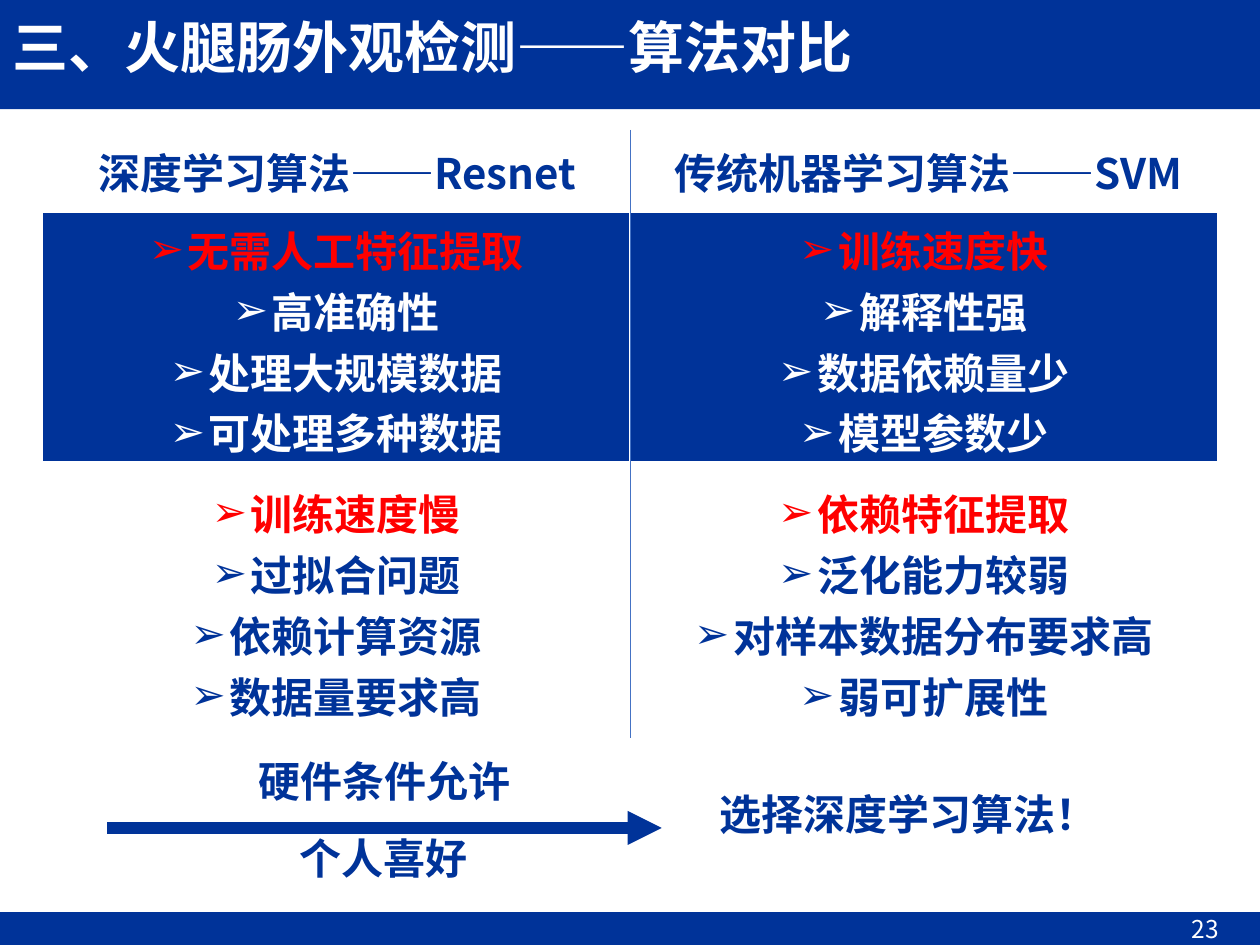
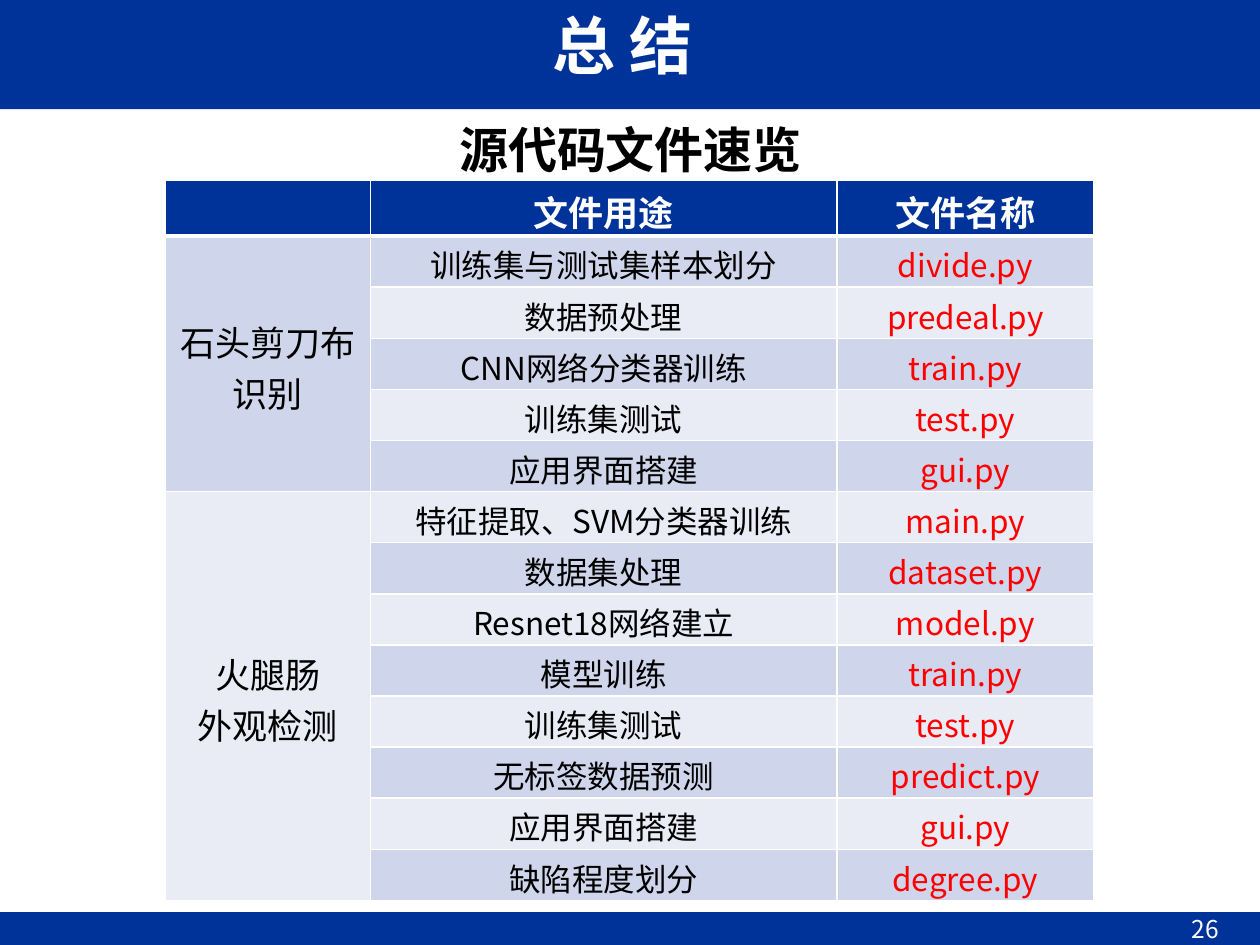
from itertools import product

from lxml.etree import SubElement
from pptx import Presentation
from pptx.dml.color import RGBColor
from pptx.enum.shapes import MSO_CONNECTOR as Connector, MSO_SHAPE as Preset
from pptx.enum.text import MSO_ANCHOR as Anchor, MSO_AUTO_SIZE as AutoSize, PP_ALIGN as Align
from pptx.oxml import parse_xml
from pptx.oxml.ns import nsdecls, qn
from pptx.util import Cm, Pt

COLORS = {
    "navy": "003399",
    "white": "FFFFFF",
    "black": "000000",
    "red": "FF0000",
    "divider": "4472C4",
    "dark_row": "CFD5EA",
    "light_row": "E9EBF5",
}
FONT = "Noto Sans CJK SC"
SLIDE_W, SLIDE_H = 25.4, 19.05
BAND_H, FOOTER_H = 2.2, 0.66

ALGORITHMS = [
    ("深度学习算法——Resnet", (1.6, 2.84, 10.39, 1.5), Align.CENTER),
    ("传统机器学习算法——SVM", (13.5, 2.84, 11.05, 1.5), Align.LEFT),
]
TRAITS = [
    [
        ["无需人工特征提取", "高准确性", "处理大规模数据", "可处理多种数据"],
        ["训练速度快", "解释性强", "数据依赖量少", "模型参数少"],
    ],
    [
        ["训练速度慢", "过拟合问题", "依赖计算资源", "数据量要求高"],
        ["依赖特征提取", "泛化能力较弱", "对样本数据分布要求高", "弱可扩展性"],
    ],
]
CHOICE_NOTES = [
    ("硬件条件允许", (4.93, 15.11, 5.64, 1.5)),
    ("选择深度学习算法！", (14.22, 15.77, 8.2, 1.5)),
    ("个人喜好", (5.77, 16.65, 3.94, 1.5)),
]
PROJECTS = [
    (["石头剪刀布", "识别"], [
        ("训练集与测试集样本划分", "divide.py"),
        ("数据预处理", "predeal.py"),
        ("CNN网络分类器训练", "train.py"),
        ("训练集测试", "test.py"),
        ("应用界面搭建", "gui.py"),
    ]),
    (["火腿肠", "外观检测"], [
        ("特征提取、SVM分类器训练", "main.py"),
        ("数据集处理", "dataset.py"),
        ("Resnet18网络建立", "model.py"),
        ("模型训练", "train.py"),
        ("训练集测试", "test.py"),
        ("无标签数据预测", "predict.py"),
        ("应用界面搭建", "gui.py"),
        ("缺陷程度划分", "degree.py"),
    ]),
]


def rgb(color):
    return RGBColor.from_string(COLORS[color])


def cm_box(box):
    return [Cm(length) for length in box]


def set_attributes(target, values):
    for attribute, value in values.items():
        setattr(target, attribute, value)


def add_bullet(paragraph):
    properties = paragraph._p.get_or_add_pPr()
    properties.set("marL", str(Cm(0.79)))
    properties.set("indent", str(-Cm(0.79)))
    SubElement(properties, qn("a:buFont"), typeface="Arial")
    SubElement(properties, qn("a:buChar"), char="➢")


def write_lines(frame, lines, size, colors, bold=False, align=Align.CENTER, bulleted=False):
    for index, (line, color) in enumerate(zip(lines, colors)):
        paragraph = frame.paragraphs[0] if index == 0 else frame.add_paragraph()
        paragraph.alignment = align
        if bulleted:
            add_bullet(paragraph)
        run = paragraph.add_run()
        run.text = line
        set_attributes(run.font, {"size": Pt(size), "bold": bold, "name": FONT})
        run.font.color.rgb = rgb(color)
        SubElement(run._r.get_or_add_rPr(), qn("a:ea"), typeface=FONT)


def add_text(slide, box, text, size, color, bold=True, align=Align.CENTER, anchor=Anchor.TOP):
    frame = slide.shapes.add_textbox(*cm_box(box)).text_frame
    set_attributes(frame, {
        "word_wrap": True,
        "vertical_anchor": anchor,
        "margin_left": Cm(0.1),
        "margin_right": Cm(0.1),
    })
    write_lines(frame, [text], size, [color], bold, align)
    return frame


def add_line(slide, start, end, color, width):
    line = slide.shapes.add_connector(Connector.STRAIGHT, *cm_box(start + end))
    line.line.color.rgb = rgb(color)
    line.line.width = Pt(width)
    SubElement(line._element.spPr, qn("a:effectLst"))
    return line


def add_framed_slide(deck, title, title_box, size, align, number):
    slide = deck.slides.add_slide(deck.slide_layouts[5])
    heading = slide.shapes.title
    for box in [(0, 0, SLIDE_W, BAND_H), (0, SLIDE_H - FOOTER_H, SLIDE_W, FOOTER_H)]:
        band = slide.shapes.add_shape(Preset.RECTANGLE, *cm_box(box))
        band.shadow.inherit = False
        band.fill.solid()
        band.fill.fore_color.rgb = rgb("navy")
        band.line.fill.background()
        heading.element.addprevious(band.element)

    set_attributes(heading, dict(zip(("left", "top", "width", "height"), cm_box(title_box))))
    set_attributes(heading.text_frame, {
        "auto_size": AutoSize.NONE,
        "vertical_anchor": Anchor.TOP,
        "word_wrap": True,
    })
    write_lines(heading.text_frame, [title], size, ["white"], True, align)

    page = add_text(slide, (22.1, SLIDE_H - FOOTER_H, 2.72, FOOTER_H), number, 14, "white",
                    bold=False, align=Align.RIGHT, anchor=Anchor.MIDDLE)
    set_attributes(page, {"margin_top": 0, "margin_bottom": 0, "margin_right": Cm(0.25)})
    return slide


def add_grid(slide, box, widths, heights):
    left, top = box
    table = slide.shapes.add_table(
        len(heights), len(widths), *cm_box((left, top, sum(widths), sum(heights)))).table
    for column, width in zip(table.columns, widths):
        column.width = Cm(width)
    for row, height in zip(table.rows, heights):
        row.height = Cm(height)
    return table


def style_cell(table, row, column, fill):
    cell = table.cell(row, column)
    set_attributes(cell, {
        "vertical_anchor": Anchor.MIDDLE,
        "margin_top": Cm(0.1),
        "margin_bottom": 0,
    })
    cell.fill.solid()
    cell.fill.fore_color.rgb = rgb(fill)
    widths = {"lnL": 1, "lnR": 1, "lnT": 3 if row == 1 else 1, "lnB": 3 if row == 0 else 1}
    for index, (side, width) in enumerate(widths.items()):
        border = parse_xml(
            f'<a:{side} {nsdecls("a")} w="{Pt(width)}"><a:solidFill>'
            f'<a:srgbClr val="{COLORS["white"]}"/></a:solidFill></a:{side}>')
        cell._tc.get_or_add_tcPr().insert(index, border)
    return cell


def add_trait_table(slide, box):
    table = add_grid(slide, box, [11.84] * 2, [5.08, 5.54])
    looks = [("navy", "white"), ("white", "navy")]
    for row, column in product(range(2), range(2)):
        fill, text_color = looks[row]
        cell = style_cell(table, row, column, fill)
        traits = TRAITS[row][column]
        colors = ["red"] + [text_color] * (len(traits) - 1)
        write_lines(cell.text_frame, traits, 24, colors, bold=True, bulleted=True)


def add_choice(slide):
    arrow = add_line(slide, (2.16, 16.69), (13.34, 16.69), "navy", 6.5)
    SubElement(arrow.line._get_or_add_ln(), qn("a:tailEnd"), type="triangle")
    for note, box in CHOICE_NOTES:
        add_text(slide, box, note, 24, "navy")


def build_comparison(deck):
    slide = add_framed_slide(deck, "三、火腿肠外观检测——算法对比", (0, 0.13, 20.3, 1.9),
                             32, Align.LEFT, "23")
    for algorithm, box, align in ALGORITHMS:
        add_text(slide, box, algorithm, 24, "navy", align=align)
    add_trait_table(slide, (0.86, 4.27))
    add_line(slide, (12.7, 2.62), (12.7, 14.88), "divider", 0.5)
    add_choice(slide)


def add_file_table(slide, box):
    files = [entry for _, entries in PROJECTS for entry in entries]
    table = add_grid(slide, box, [4.14, 9.4, 5.18], [1.12] + [1.03] * len(files))
    for column, label in enumerate(["", "文件用途", "文件名称"]):
        cell = style_cell(table, 0, column, "navy")
        if label:
            write_lines(cell.text_frame, [label], 20, ["white"], bold=True)

    for row, entry in enumerate(files, 1):
        fill = "dark_row" if row % 2 else "light_row"
        for column, (text, color) in enumerate(zip(entry, ["black", "red"]), 1):
            cell = style_cell(table, row, column, fill)
            write_lines(cell.text_frame, [text], 18, [color])

    first = 1
    for (project, entries), fill in zip(PROJECTS, ["dark_row", "light_row"]):
        last = first + len(entries) - 1
        for row in range(first, last + 1):
            style_cell(table, row, 0, fill)
        cell = table.cell(first, 0)
        cell.merge(table.cell(last, 0))
        write_lines(cell.text_frame, project, 20, ["black"] * len(project))
        first = last + 1


def build_summary(deck):
    slide = add_framed_slide(deck, "总 结", (1.12, 0, 22.86, 2.1), 36, Align.CENTER, "26")
    add_text(slide, (2.21, 2.28, 21, 1.6), "源代码文件速览", 28, "black")
    add_file_table(slide, (3.33, 3.64))


def main():
    deck = Presentation()
    deck.slide_width, deck.slide_height = Cm(SLIDE_W), Cm(SLIDE_H)
    build_comparison(deck)
    build_summary(deck)
    deck.save("out.pptx")


if __name__ == "__main__":
    main()
